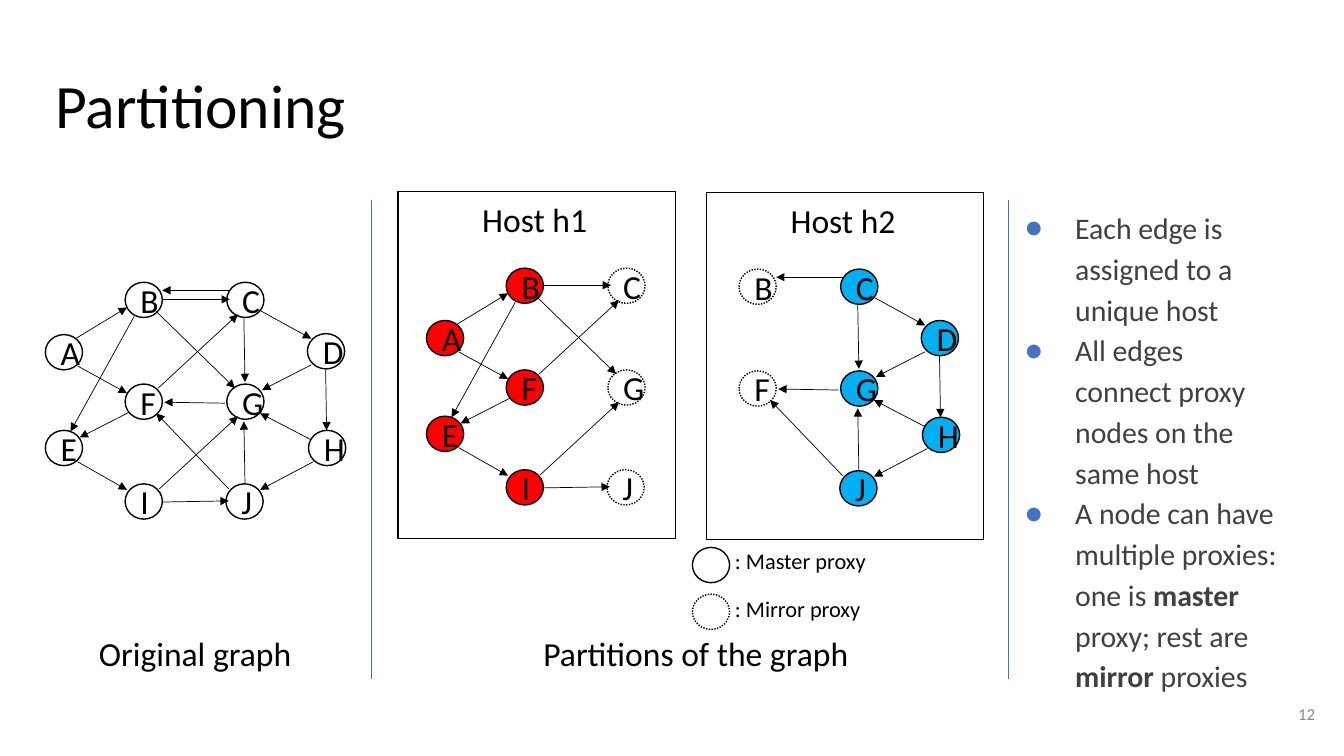
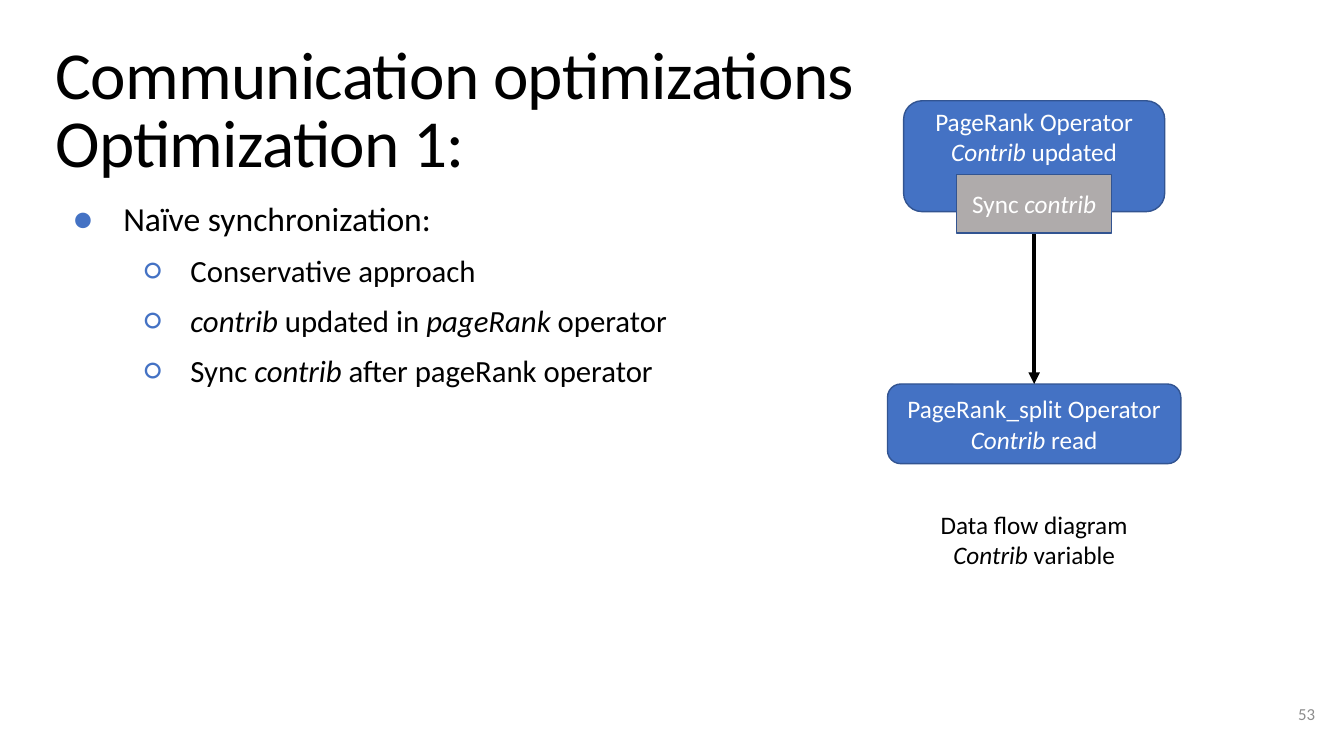
"""Builds two slides on graph partitioning and communication."""
from lxml.etree import SubElement as Sub
from pptx import Presentation
from pptx.dml.color import RGBColor
from pptx.enum.dml import MSO_LINE as Dash
from pptx.enum.shapes import MSO_CONNECTOR as Wire, MSO_SHAPE as Form
from pptx.enum.text import MSO_ANCHOR as Anchor, MSO_AUTO_SIZE as Fit, PP_ALIGN as Align
from pptx.oxml.ns import qn
from pptx.util import Pt

FONT = "Calibri"
BLACK, WHITE, BLUE, NAVY = "000000", "FFFFFF", "4472C4", "325491"
GRAY, DARK, PALE, RED, SKY = "AFABAB", "404040", "8C8C8C", "FF0000", "00B0F0"
NODE = (26.6, 25.2)
NODES = {
    "A": (0, 37.4), "B": (57, 0), "C": (129.6, 0), "D": (187.2, 36.7),
    "E": (0, 105.8), "F": (57, 72.7), "G": (129.6, 72.7), "H": (188, 105.8),
    "I": (57, 144), "J": (129, 144),
}
LEFT = [
    (23, 59.8, 58.3, 79.2), (21.6, 40.3, 58.3, 18), (23, 128.2, 58.3, 148.3),
    (59.8, 92.9, 24.5, 110.9), (63.4, 24.5, 18, 106.6), (80.6, 75.6, 137.5, 23),
    (79.2, 20.9, 135.4, 75.6), (81.4, 147.6, 137.5, 95.8),
    (83.5, 157, 131, 156.2), (84.2, 12.2, 131.8, 12.2),
]
RIGHT = [
    (131, 147.6, 79.2, 93.6), (131.8, 5.8, 83.5, 5.8), (190, 59, 154.8, 77),
    (191.5, 128.2, 153.4, 148.3), (153.4, 20.2, 190, 40.3),
    (200.2, 61.9, 200.9, 105.8), (141.8, 25.2, 142.6, 71.3),
    (142.6, 143.3, 141.8, 99.4), (189.4, 112.3, 153.4, 93.6),
    (128.2, 86.4, 85, 85.7),
]


def paint(code):
    """Turn a hex string into a colour."""
    return RGBColor.from_string(code)


def bullet(para, sign, left, hang):
    """Give a paragraph a blue bullet and a hanging indent."""
    props = para._p.get_or_add_pPr()
    props.set("marL", str(Pt(left)))
    props.set("indent", str(-Pt(hang)))
    Sub(Sub(props, qn("a:buClr")), qn("a:srgbClr"), val=BLUE)
    Sub(props, qn("a:buFont"), typeface=FONT)
    Sub(props, qn("a:buChar"), char=sign)


def style(para, size, color, align=Align.LEFT, lead=None):
    """Set the font, alignment and line spacing of a paragraph."""
    font = para.font
    font.name, font.size, font.color.rgb = FONT, Pt(size), paint(color)
    para.alignment = align
    if lead:
        para.line_spacing = lead


def fill(para, text, bold=False):
    """Add runs, with the parts between asterisks in bold or italic."""
    for num, part in enumerate(text.split("*")):
        if part:
            run = para.add_run()
            run.text = part
            if num % 2:
                setattr(run.font, "bold" if bold else "italic", True)


def lines(frame, text):
    """Yield one paragraph of the frame for each line of text."""
    for num, line in enumerate(text.split("\n")):
        yield (frame.add_paragraph() if num else frame.paragraphs[0]), line


def inset(frame, side, top):
    """Set the margins of a wrapped text frame."""
    frame.word_wrap, frame.auto_size = True, Fit.NONE
    frame.margin_left = frame.margin_right = Pt(side)
    frame.margin_top = frame.margin_bottom = Pt(top)


def area(slide, box, side=9.4, top=5):
    """Add a text box and return its frame."""
    frame = slide.shapes.add_textbox(*map(Pt, box)).text_frame
    inset(frame, side, top)
    return frame


def label(slide, box, text, size=24, color=BLACK, align=Align.CENTER):
    """Add a plain text box."""
    frame = area(slide, box)
    for para, line in lines(frame, text):
        fill(para, line)
        style(para, size, color, align)
    return frame


def block(slide, form, box, text="", back=None, edge=BLACK, size=18, color=WHITE):
    """Add an outlined shape with centred text."""
    shape = slide.shapes.add_shape(form, *map(Pt, box))
    shape.shadow.inherit = False
    if back:
        shape.fill.solid()
        shape.fill.fore_color.rgb = paint(back)
    else:
        shape.fill.background()
    shape.line.color.rgb, shape.line.width = paint(edge), Pt(1)
    if text:
        for para, line in lines(shape.text_frame, text):
            fill(para, line)
            style(para, size, color, Align.CENTER)
    return shape


def link(slide, ends, color=BLACK, width=0.5, arrow=True):
    """Add a straight line, with an arrowhead if asked."""
    wire = slide.shapes.add_connector(Wire.STRAIGHT, *map(Pt, ends))
    wire.line.color.rgb, wire.line.width = paint(color), Pt(width)
    if arrow:
        Sub(wire.line._get_or_add_ln(), qn("a:tailEnd"), type="triangle")
    Sub(wire._element.spPr, qn("a:effectLst"))


def node(slide, x, y, text="", back=None, dots=False):
    """Add a round graph node, dotted for a mirror."""
    shape = block(slide, Form.OVAL, (x, y, *NODE), text, back, size=24, color=BLACK)
    if dots:
        shape.line.dash_style = Dash.ROUND_DOT


def graph(slide, x, y, main, edges, back=None, mirror=""):
    """Draw the named nodes and edges from a corner."""
    for name in main + mirror:
        dx, dy = NODES[name]
        dots = name in mirror
        node(slide, x + dx, y + dy, name, None if dots else back, dots)
    for x1, y1, x2, y2 in edges:
        link(slide, (x + x1, y + y1, x + x2, y + y2))


def host(slide, x, y, name, shift, *parts):
    """Draw a framed host with its part of the graph."""
    block(slide, Form.RECTANGLE, (x, y, 198, 247.7))
    label(slide, (x - 1.5, y, 198, 39), name)
    graph(slide, x + shift, y + 54.7, *parts)


def legend(slide, x, y):
    """Explain the two outlines of nodes."""
    for num, name in enumerate(("Master", "Mirror")):
        node(slide, x, y + 33.4 * num, dots=num == 1)
        box = (x + 21, y - 5 + 34.4 * num, 148, 29)
        label(slide, box, f": {name} proxy", 16, align=Align.LEFT)


def page(deck, title, number, top, size, lead, space=0):
    """Start a slide with its title and number."""
    slide = deck.slides.add_slide(deck.slide_layouts[5])
    head = slide.shapes.title
    head.left, head.top, head.width, head.height = map(Pt, (32.4, top, 894, 74))
    frame = head.text_frame
    frame.text = title
    inset(frame, 7.2, 7.2)
    frame.vertical_anchor = Anchor.TOP
    para = frame.paragraphs[0]
    style(para, size, BLACK, lead=lead)
    if space:
        for run in para.runs:
            run._r.get_or_add_rPr().set("spc", str(space))
    foot = label(slide, (889, 489.6, 57.6, 41), number, 12, PALE, Align.RIGHT)
    inset(foot, 7.2, 7.2)
    foot.vertical_anchor = Anchor.MIDDLE
    return slide


def facts(slide, box):
    """List the rules of partitioning."""
    text = ("Each edge is assigned to a unique host\n"
            "All edges connect proxy nodes on the same host\n"
            "A node can have multiple proxies: one is *master* proxy; "
            "rest are *mirror* proxies")
    for para, line in lines(area(slide, box, 9.4, 9.4), text):
        bullet(para, "●", 48, 36)
        fill(para, line, bold=True)
        style(para, 21.3, DARK, lead=1.14)


def steps(slide, box):
    """List the points of naïve synchronization."""
    text = ("Naïve synchronization:\nConservative approach\n"
            "*contrib* updated in *pageRank* operator\n"
            "Sync *contrib* after pageRank operator")
    for num, (para, line) in enumerate(lines(area(slide, box, 7.2, 7.2), text)):
        if num:
            para.level = 1
            bullet(para, "○", 96, 33)
            para.space_before = Pt(12)
        else:
            bullet(para, "●", 48, 36)
        fill(para, line)
        style(para, 22 if num else 24, BLACK, lead=0.9)


def flow(slide, mid, top):
    """Draw the data flow down a middle line."""
    def put(form, width, y, height, text, back=BLUE):
        """Add a block centred on the middle line."""
        box = (mid - width / 2, top + y, width, height)
        return block(slide, form, box, text, back, NAVY)

    first = put(Form.ROUNDED_RECTANGLE, 186.5, 0, 79.2,
                "PageRank Operator\n*Contrib* updated").text_frame
    inset(first, 0, 0)
    first.vertical_anchor = Anchor.TOP
    put(Form.ROUNDED_RECTANGLE, 209.5, 202.3, 56.9,
        "PageRank_split Operator\n*Contrib* read")
    link(slide, (mid, top + 79.2, mid, top + 202.3), width=2.75)
    put(Form.RECTANGLE, 111, 52.6, 41.8, "Sync *contrib*", GRAY)
    note = label(slide, (mid - 90, top + 288, 180, 51),
                 "Data flow diagram\n*Contrib* variable", 18)
    inset(note, 7.2, 3.6)


def split(deck):
    """Build the partitioning slide."""
    slide = page(deck, "Partitioning", "12", 46.8, 44, 0.9)
    graph(slide, 32.4, 201.6, "".join(NODES), LEFT + RIGHT)
    host(slide, 284.4, 136.8, "Host h1", 20.2, "ABEFI", LEFT, RED, "CGJ")
    host(slide, 504.7, 137.5, "Host h2", -33.8, "CDGHJ", RIGHT, SKY, "BF")
    legend(slide, 494.6, 391)
    label(slide, (32.4, 447, 214, 39), "Original graph")
    label(slide, (265, 447, 464, 39), "Partitions of the graph")
    facts(slide, (710.6, 136.8, 216.7, 347))
    for x in (265, 720):
        link(slide, (x, 142.6, x, 485.3), BLUE, arrow=False)


def sync(deck):
    """Build the communication slide."""
    title = "Communication optimizations\vOptimization 1:"
    slide = page(deck, title, "53", 24.5, 48, 0.85, -50)
    steps(slide, (33, 137.5, 592.5, 358.5))
    flow(slide, 738.7, 72)


def main():
    """Build and save the deck."""
    deck = Presentation()
    deck.slide_width, deck.slide_height = Pt(960), Pt(540)
    split(deck)
    sync(deck)
    deck.save("out.pptx")


if __name__ == "__main__":
    main()
